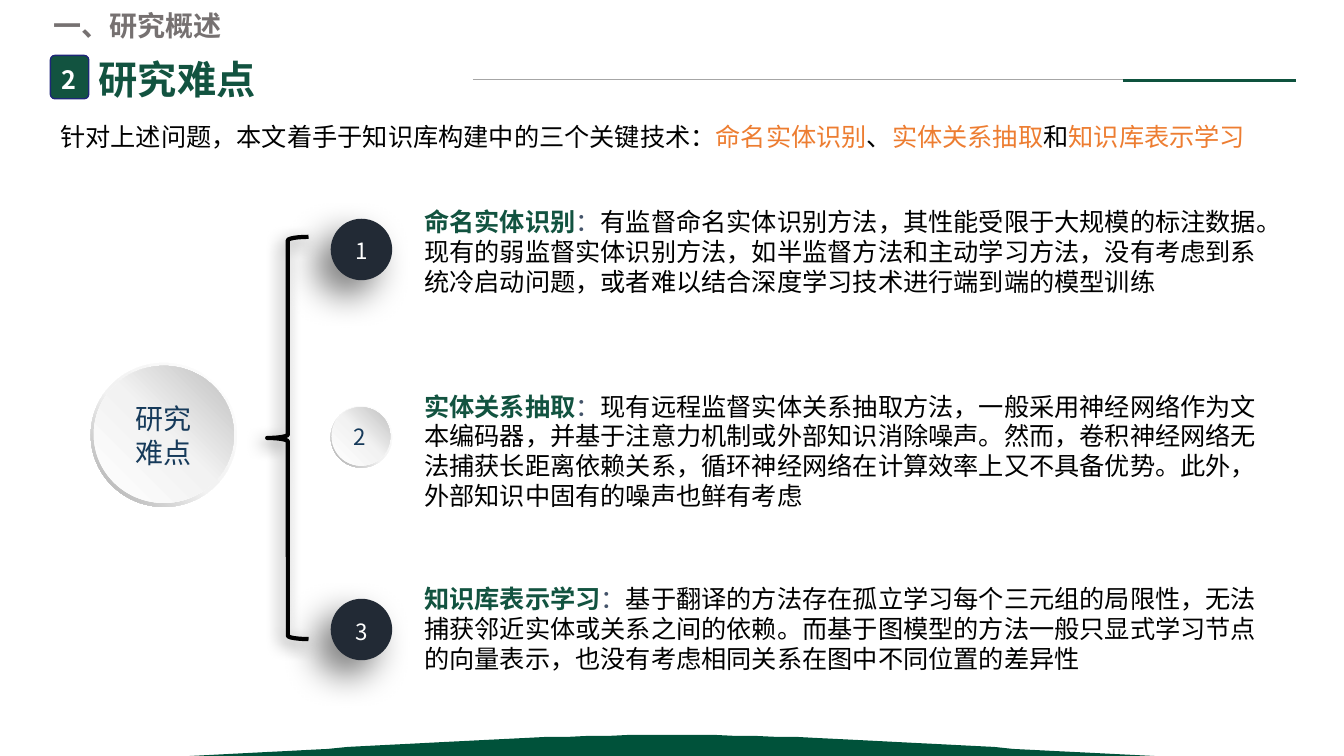
from lxml import etree
from pptx import Presentation
from pptx import util as u
from pptx.dml.color import RGBColor
from pptx.enum import shapes, text
from pptx.oxml.ns import qn

PX = 9144
FONT = "Noto Sans CJK SC"
COLORS = {
    "green": "125340", "hill": "00523A", "rule": "0E523E", "gray": "A6A6A6",
    "heading": "767171", "orange": "ED7D31", "slate": "44546A", "navy": "163A5A",
    "dark": "222A35", "edge": "1E2678", "black": "000000", "white": "FFFFFF",
    "pale": "F2F2F2", "silver": "BFBFBF",
}
KIND = shapes.MSO_SHAPE
RING = [(0, "white"), (55, "pale"), (100, "gray")]
DISC = [(0, "white"), (51, "pale"), (100, "silver")]


def write(holder, runs, size=18, bold=False, align="LEFT", anchor="TOP", wrap=True, top=7):
    frame = holder.text_frame
    frame.word_wrap = wrap
    frame.auto_size = text.MSO_AUTO_SIZE.NONE
    frame.vertical_anchor = text.MSO_ANCHOR[anchor]
    frame.margin_left = frame.margin_right = 10 * PX
    frame.margin_top, frame.margin_bottom = top * PX, 5 * PX
    paragraph = frame.paragraphs[0]
    paragraph.alignment = text.PP_ALIGN[align]
    paragraph.line_spacing = u.Pt(round(size * 1.19, 1))
    paragraph.space_before = u.Pt(0)
    for words, color, *strong in runs:
        run = paragraph.add_run()
        run.text = words
        run.font.name = FONT
        run.font.size = u.Pt(size)
        run.font.bold = bool(strong) or bold
        run.font.color.rgb = RGBColor.from_string(COLORS[color])
        latin = run.font._element.find(qn("a:latin"))
        east = etree.Element(qn("a:ea"), typeface=FONT)
        latin.addnext(east)


def add_form(kind, box, fill=None, stops=None, angle=0, line=None, width=1, adjust=None, shadow=None):
    form = slide.shapes.add_shape(kind, *[v * PX for v in box])
    form.shadow.inherit = False
    properties = form._element.spPr
    if adjust:
        form.adjustments[0] = adjust
    if stops:
        form.fill.gradient()
        form.fill.gradient_angle = 360 - angle
        stop_list = properties.find(".//" + qn("a:gsLst"))
        stop_list[:] = []
        for place, color in stops:
            stop = etree.SubElement(stop_list, qn("a:gs"), pos=str(place * 1000))
            etree.SubElement(stop, qn("a:srgbClr"), val=COLORS[color])
    elif fill:
        form.fill.solid()
        form.fill.fore_color.rgb = RGBColor.from_string(COLORS[fill])
    else:
        form.fill.background()
    if line:
        form.line.color.rgb = RGBColor.from_string(COLORS[line])
        form.line.width = u.Pt(width)
    else:
        form.line.fill.background()
    if shadow:
        blur, distance = shadow
        effect = etree.SubElement(
            properties.find(qn("a:effectLst")), qn("a:outerShdw"), blurRad=str(u.Pt(blur)),
            dist=str(u.Pt(distance)), dir=str(135 * 60000), algn="tr", rotWithShape="0")
        tint = etree.SubElement(effect, qn("a:srgbClr"), val=COLORS["black"])
        etree.SubElement(tint, qn("a:alpha"), val="50000")
    return form


deck = Presentation()
deck.slide_width, deck.slide_height = 1333 * PX, 750 * PX
slide = deck.slides.add_slide(deck.slide_layouts[5])

hill_points = []
for start, lean, reach, end in [
    ((188, 750), (345, 743), (499, 729), (667, 729)),
    ((667, 729), (832, 729), (983, 743), (1145, 750)),
]:
    for step in range(25):
        t = step / 24
        weights = ((1 - t) ** 3, 3 * t * (1 - t) ** 2, 3 * t * t * (1 - t), t ** 3)
        hill_points.append(tuple(
            sum(w * p[axis] for w, p in zip(weights, (start, lean, reach, end)))
            for axis in (0, 1)))
outline = slide.shapes.build_freeform(*hill_points[0], scale=PX)
outline.add_line_segments(hill_points[1:], close=True)
hill = outline.convert_to_shape()
hill.shadow.inherit = False
hill.fill.solid()
hill.fill.fore_color.rgb = RGBColor.from_string(COLORS["hill"])
hill.line.fill.background()

for left, right, y, color, width in [(469, 1277, 79, "gray", 0.5), (1114, 1285, 80, "rule", 2)]:
    rule = slide.shapes.add_connector(
        shapes.MSO_CONNECTOR.STRAIGHT, left * PX, y * PX, right * PX, y * PX)
    rule.line.color.rgb = RGBColor.from_string(COLORS[color])
    rule.line.width = u.Pt(width)
    etree.SubElement(rule._element.spPr, qn("a:effectLst"))

title = slide.shapes.title
title.left, title.top, title.width, title.height = [v * PX for v in (88, 48, 177, 57)]
write(title, [("研究难点", "green")], size=28, bold=True, wrap=False)

add_form(KIND.ROUNDED_RECTANGLE, (50, 55, 38, 43), fill="green", line="edge", adjust=0.118)
add_form(KIND.DONUT, (90, 360, 145, 143), stops=RING, angle=135, adjust=0.049)
core = add_form(KIND.OVAL, (93, 363, 139, 136), stops=DISC, angle=315)
write(core, [("研究难点", "navy")], size=20, align="CENTER", anchor="MIDDLE")
add_form(KIND.LEFT_BRACE, (265, 235, 41, 399), line="black", width=3, shadow=(11, 5))

for top in (217, 594):
    add_form(KIND.OVAL, (328, top, 61, 61), fill="dark", shadow=(25, 15))
add_form(KIND.DONUT, (328, 403, 61, 61), stops=RING, angle=135, adjust=0.049)
add_form(KIND.OVAL, (329, 404, 58, 58), stops=DISC, angle=315)

difficulties = [
    ("命名实体识别", "有监督命名实体识别方法，其性能受限于大规模的标注数据。现有的弱监督实体识别方法，如半监督方法和主动学习方法，没有考虑到系统冷启动问题，或者难以结合深度学习技术进行端到端的模型训练", 198, 101),
    ("实体关系抽取", "现有远程监督实体关系抽取方法，一般采用神经网络作为文本编码器，并基于注意力机制或外部知识消除噪声。然而，卷积神经网络无法捕获长距离依赖关系，循环神经网络在计算效率上又不具备优势。此外，外部知识中固有的噪声也鲜有考虑", 381, 131),
    ("知识库表示学习", "基于翻译的方法存在孤立学习每个三元组的局限性，无法捕获邻近实体或关系之间的依赖。而基于图模型的方法一般只显式学习节点的向量表示，也没有考虑相同关系在图中不同位置的差异性", 572, 101),
]
captions = [
    ((51, 57, 38, 40), [("2", "white")], 18, True),
    ((43, 2, 199, 44), [("一、研究概述", "heading")], 20, True),
    ((50, 114, 1202, 40), [
        ("针对上述问题，本文着手于知识库构建中的三个关键技术：", "black"),
        ("命名实体识别", "orange"), ("、", "black"), ("实体关系抽取", "orange"),
        ("和", "black"), ("知识库表示学习", "orange")], 18, False),
    ((343, 229, 42, 37), [("1", "white")], 16, False),
    ((341, 413, 49, 37), [("2", "navy")], 16, False),
    ((343, 607, 41, 37), [("3", "white")], 16, False),
]
for topic, problem, top, height in difficulties:
    captions.append((
        (411, top, 852, height),
        [(topic, "green", True), ("：", "slate"), (problem, "black")], 18, False))

for box, runs, size, bold in captions:
    caption = slide.shapes.add_textbox(*[v * PX for v in box])
    write(caption, runs, size=size, bold=bold)

deck.save("out.pptx")
